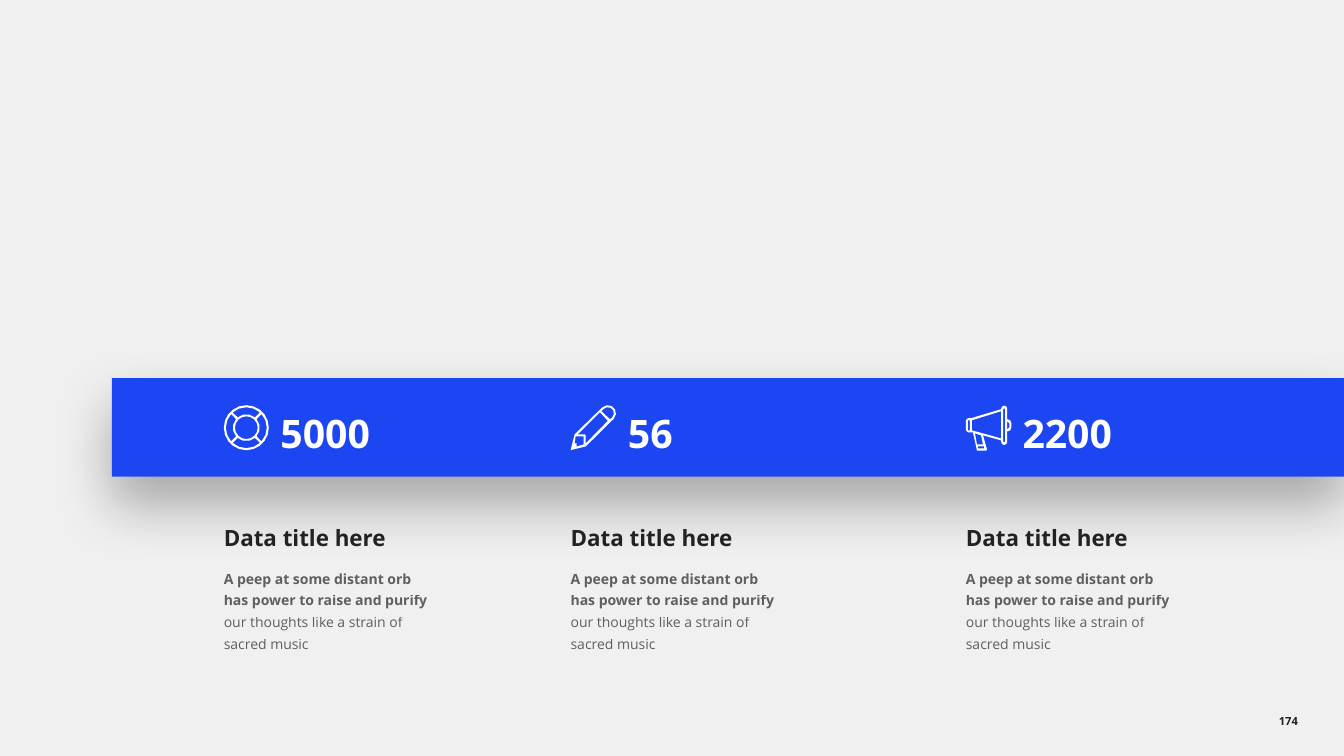
import math

import lxml.etree
import pptx
import pptx.dml.color
import pptx.enum.shapes
import pptx.enum.text
import pptx.oxml.ns
import pptx.util

Inches = pptx.util.Inches
Pt = pptx.util.Pt
Align = pptx.enum.text.PP_ALIGN
Anchor = pptx.enum.text.MSO_ANCHOR

COLORS = {"paper": "F0F0F0", "blue": "1D46F3", "white": "FFFFFF", "ink": "222222", "shadow": "000000"}


def arc(x, y, radius, start, end, steps=4):
    """Points along a circle, angles in degrees, clockwise from the right."""
    angles = [math.radians(start + (end - start) * i / steps) for i in range(steps + 1)]
    return [(x + radius * math.cos(a), y + radius * math.sin(a)) for a in angles]


def circle(x, y, radius, corners):
    return arc(x, y, radius, 0, 360, corners)[:-1]


# Icon outlines in hundredths of an inch; inner outlines cut holes.
MIDDLE = 22.3
LIFEBUOY = [circle(MIDDLE, MIDDLE, 22.3, 20), circle(MIDDLE, MIDDLE, 11.3, 16)] + [
    arc(MIDDLE, MIDDLE, 20.3, turn - 42, turn + 42) + arc(MIDDLE, MIDDLE, 13.3, turn + 40, turn - 40, 3)
    for turn in range(0, 360, 90)
]
PENCIL = [
    [(4, 29), (0, 44.6), (15, 41)] + arc(37, 8, 8, 45, -135, 5),
    [(39, 14), (30.5, 6)] + arc(37, 8, 6, -135, 45, 5),
    [(15, 38), (15, 30), (14, 29), (7, 29), (29, 7), (37, 15.5)],
    [(13, 39), (6, 41), (6, 38), (4, 38), (5, 31), (13, 31)],
]
MEGAPHONE = [
    arc(38, 3.5, 3, 0, -180) + [(35, 4), (5, 13), (2, 13), (0, 15), (0, 25), (2, 27), (7, 27),
                                (11, 45), (20, 45), (21, 44), (17, 30), (35, 35)]
    + arc(38, 36.5, 3, 180, 0) + [(41, 26), (44, 25), (45, 22), (45, 18), (44, 15), (41, 14)],
    [(41, 16), (43, 18), (43, 22), (41, 24)],
    [(37, 4), (38, 3), (39, 4), (39, 36), (38, 37), (37, 36)],
    [(35, 33), (6, 25), (6, 15), (35, 6)],
    [(17, 39), (11, 39), (9, 28), (15, 30)],
    [(18, 43), (12, 43), (12, 41), (18, 41)],
    [(4, 25), (2, 25), (2, 15), (4, 15)],
]

# Left edge, icon, value, offset of the value box, alignment of the value
COLUMNS = [
    (2.22, LIFEBUOY, "5000", 0.37, Align.CENTER),
    (5.66, PENCIL, "56", 0.47, Align.LEFT),
    (9.58, MEGAPHONE, "2200", 0.37, Align.CENTER),
]


class Painter:
    def __init__(self, page, font):
        self.page = page
        self.font = font

    def color(self, name):
        return pptx.dml.color.RGBColor.from_string(COLORS[name])

    def background(self, name):
        fill = self.page.background.fill
        fill.solid()
        fill.fore_color.rgb = self.color(name)

    def paint(self, shape, name):
        shape.shadow.inherit = False
        shape.fill.solid()
        shape.fill.fore_color.rgb = self.color(name)
        shape.line.fill.background()

    def bar(self, x, y, width, height):
        """Blue rectangle with a soft shadow below it."""
        kind = pptx.enum.shapes.MSO_SHAPE.RECTANGLE
        shape = self.page.shapes.add_shape(kind, Inches(x), Inches(y), Inches(width), Inches(height))
        self.paint(shape, "blue")
        qn = pptx.oxml.ns.qn
        effects = shape.fill._xPr.find(qn("a:effectLst"))
        shadow = lxml.etree.SubElement(
            effects, qn("a:outerShdw"), blurRad=str(Pt(40)), dist=str(Pt(20)),
            dir="5400000", algn="t", rotWithShape="0")
        tint = lxml.etree.SubElement(shadow, qn("a:srgbClr"), val=COLORS["shadow"])
        lxml.etree.SubElement(tint, qn("a:alpha"), val="30000")

    def icon(self, x, y, outlines):
        def scaled(outline):
            return [(Inches(a / 100), Inches(b / 100)) for a, b in outline]

        first, *others = [scaled(outline) for outline in outlines]
        builder = self.page.shapes.build_freeform(*first[0])
        builder.add_line_segments(first[1:], close=True)
        for points in others:
            builder.move_to(*points[0])
            builder.add_line_segments(points[1:], close=True)
        self.paint(builder.convert_to_shape(Inches(x), Inches(y)), "white")

    def text(self, x, y, width, height, insets, anchor=Anchor.TOP):
        box = self.page.shapes.add_textbox(Inches(x), Inches(y), Inches(width), Inches(height))
        frame = box.text_frame
        frame.word_wrap = True
        frame.vertical_anchor = anchor
        left, top, right, bottom = [Inches(inset) for inset in insets]
        frame.margin_left, frame.margin_top = left, top
        frame.margin_right, frame.margin_bottom = right, bottom
        return frame

    def span(self, para, words, size, color, bold=True, alpha=None):
        span = para.add_run()
        span.text = words
        span.font.name = self.font
        span.font.size = Pt(size)
        span.font.bold = bold
        span.font.color.rgb = self.color(color)
        if alpha is not None:
            tint = span.font.fill._xPr.find(".//" + pptx.oxml.ns.qn("a:srgbClr"))
            lxml.etree.SubElement(tint, pptx.oxml.ns.qn("a:alpha"), val=str(alpha * 1000))

    def label(self, bounds, words, size, color, align, insets, spacing=1.0):
        """One bold line, centred vertically in its box."""
        para = self.text(*bounds, insets, Anchor.MIDDLE).paragraphs[0]
        para.alignment = align
        para.line_spacing = spacing
        self.span(para, words, size, color)

    def description(self, x, y):
        frame = self.text(x, y, 2.37, 1.44, (0, 0.04, 0.24, 0.04))
        frame.auto_size = pptx.enum.text.MSO_AUTO_SIZE.SHAPE_TO_FIT_TEXT
        title, body = frame.paragraphs[0], frame.add_paragraph()
        title.line_spacing = body.line_spacing = 1.3
        body.space_before = Pt(10)
        self.span(title, "Data title here", 16, "ink")
        self.span(body, "A peep at some distant orb has power to raise and purify ", 10, "ink", alpha=70)
        self.span(body, "our thoughts like a strain of sacred music", 10, "ink", bold=False, alpha=70)


def main():
    deck = pptx.Presentation()
    deck.slide_width, deck.slide_height = Inches(13.33), Inches(7.5)
    painter = Painter(deck.slides.add_slide(deck.slide_layouts[6]), "Open Sans")
    painter.background("paper")
    painter.label((12.23, 6.95, 1.1, 0.4), "174", 8, "ink", Align.CENTER, (0.1, 0.05, 0.1, 0.05))
    painter.bar(1.11, 3.75, 12.22, 0.98)
    for x, outlines, value, offset, align in COLUMNS:
        painter.icon(x, 4.02, outlines)
        painter.label((x + offset, 3.9, 1.27, 0.57), value, 28, "white", align, (0.1, 0, 0.1, 0), 1.45)
        painter.description(x, 5.08)
    deck.save("out.pptx")


if __name__ == "__main__":
    main()
